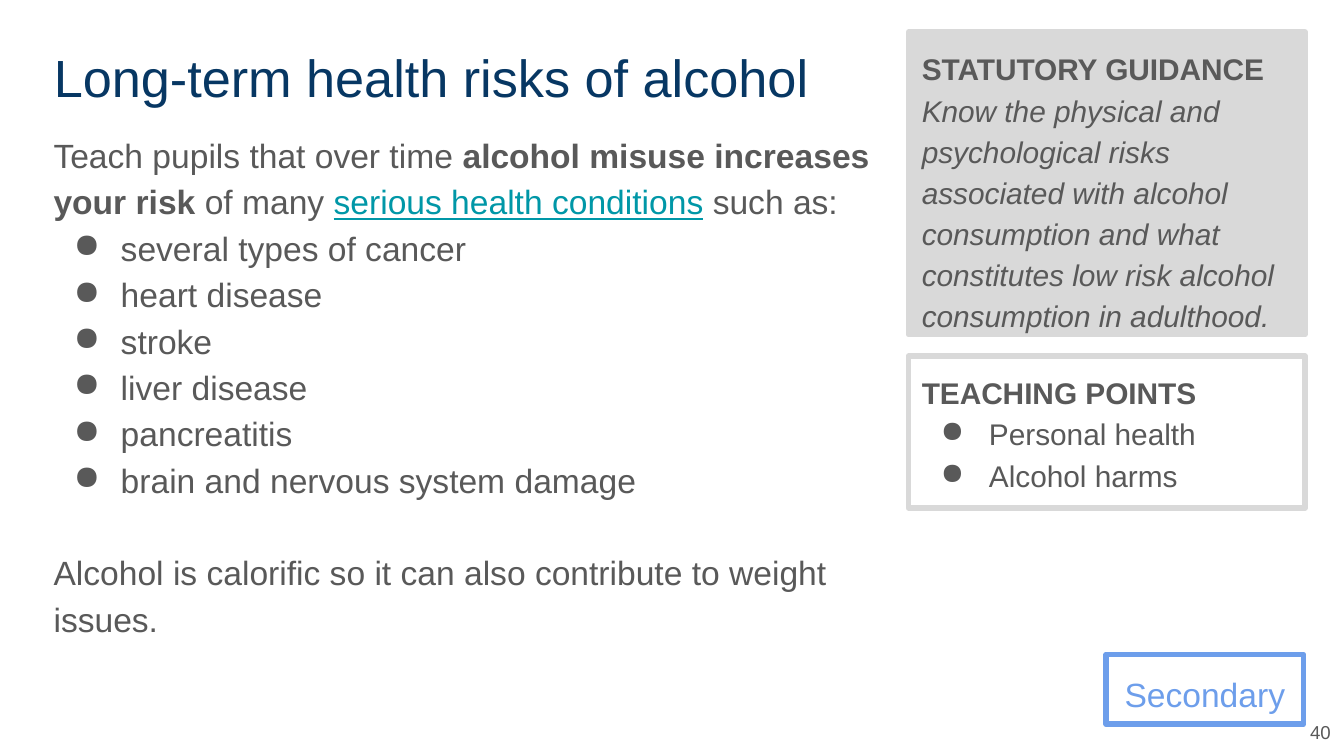
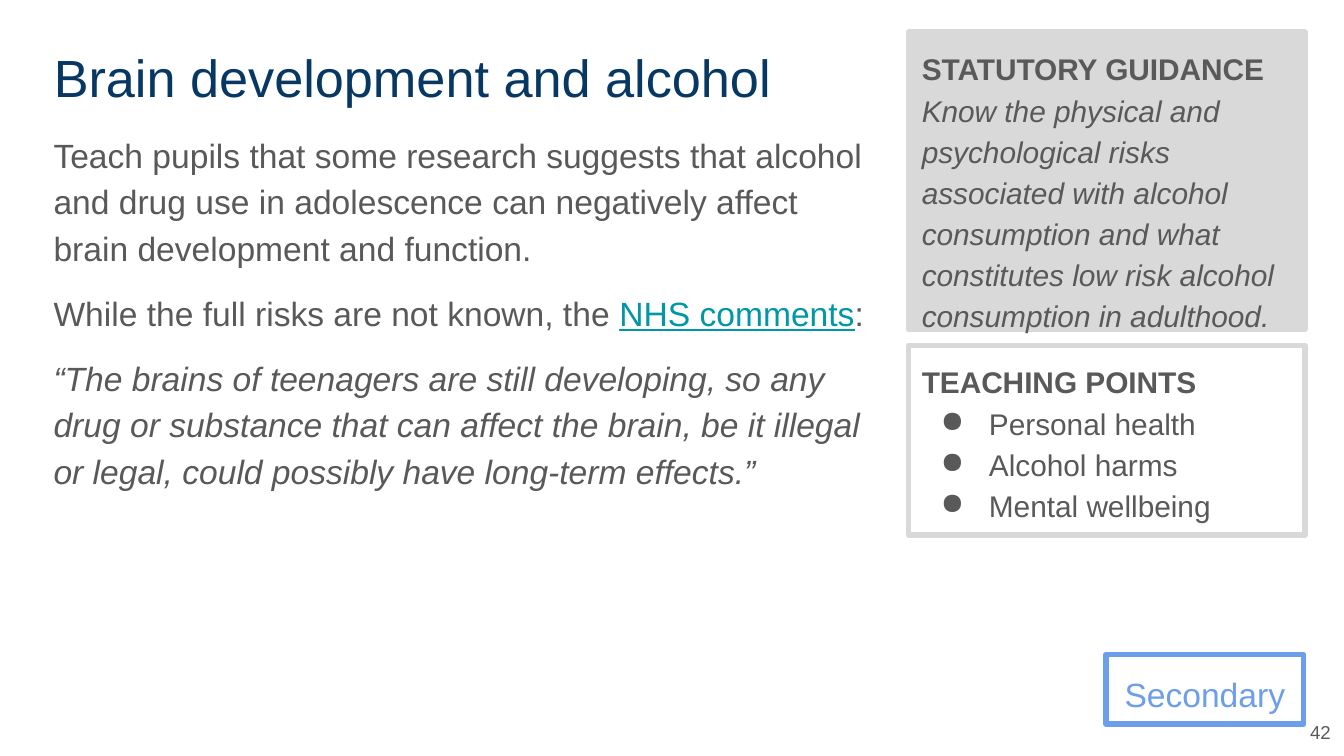
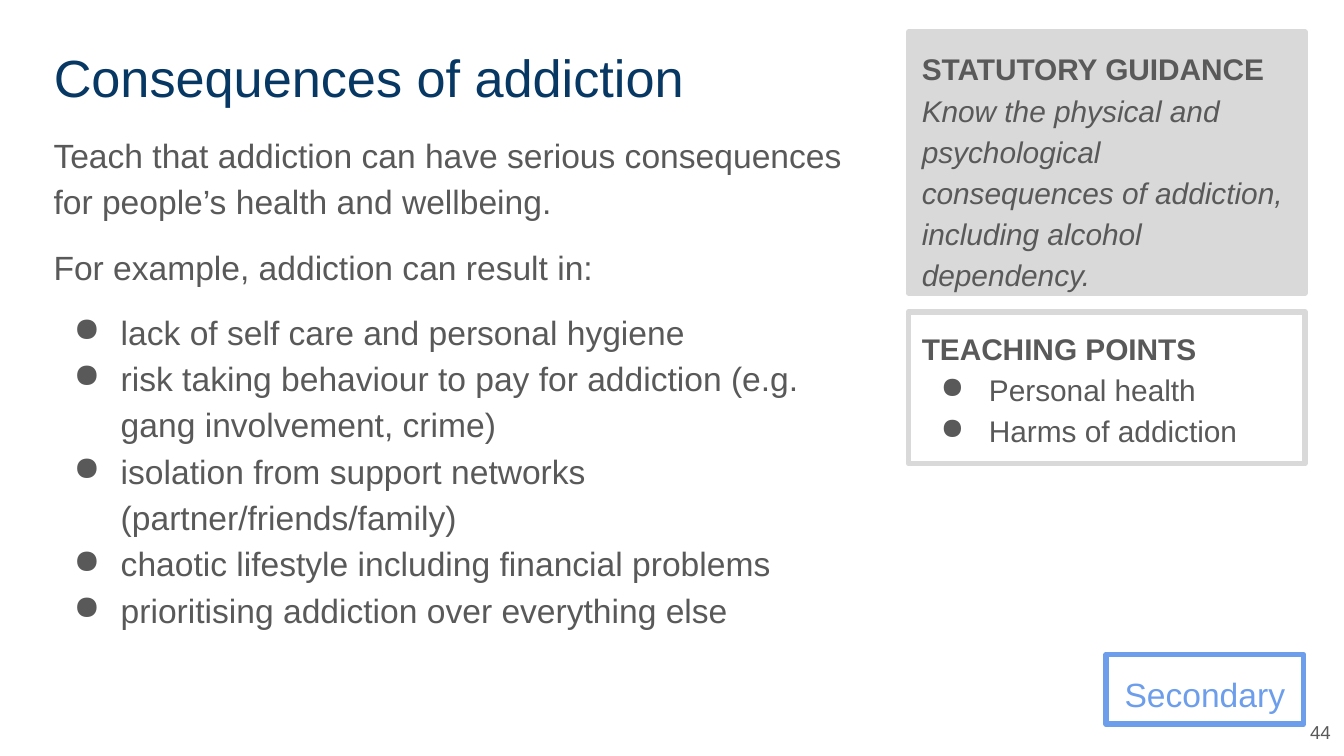
from dataclasses import dataclass

import pptx
import pptx.dml.color
import pptx.enum.shapes
import pptx.enum.text
import pptx.oxml.ns
import pptx.util
from lxml import etree

ALIGN = pptx.enum.text.PP_ALIGN
ANCHOR = pptx.enum.text.MSO_ANCHOR


@dataclass(frozen=True)
class Theme:
    font: str = "Arial"
    navy: str = "073763"
    text: str = "595959"
    link: str = "0097A7"
    panel: str = "D9D9D9"
    tag: str = "6D9EEB"
    title_size: int = 28
    body_size: int = 18
    side_size: int = 16
    number_size: int = 10
    leading: float = 1.15
    outline: int = 3


@dataclass(frozen=True)
class Box:
    """An area on a grid of 100 columns by 100 rows."""
    left: float
    top: float
    width: float
    height: float

    def place(self):
        return cols(self.left), rows(self.top), cols(self.width), rows(self.height)


@dataclass(frozen=True)
class Line:
    """One paragraph: spans are (text, style), style being '', 'bold', 'italic' or 'link'."""
    spans: tuple
    bullet: bool = False
    before: float = 0


THEME = Theme()
SLIDE_WIDTH = pptx.util.Inches(10)
SLIDE_HEIGHT = pptx.util.Inches(5.625)

TITLE = Box(3, 4.27, 64.1, 11.2)
BODY = Box(3, 15.29, 63.2, 71.29)
SIDEBAR = Box(67.6, 4.27, 29.5, 70)
TAG = Box(82.3, 86.58, 14.7, 9.24)
NUMBER = Box(96.1, 93.51, 3.9, 6.58)
POINTS_HEADING_ROWS, POINT_ROWS = 10.13, 4.98
INSET, BULLET_LEFT, BODY_HANG, SIDE_HANG = 1, 5, 3.5, 3.6
PARAGRAPH_GAP, BLOCK_GAP = 10, 24.8


def cols(count):
    return round(SLIDE_WIDTH * count / 100)


def rows(count):
    return round(SLIDE_HEIGHT * count / 100)


def rgb(value):
    return pptx.dml.color.RGBColor.from_string(value)


def style_span(span, size, color=THEME.text, style=""):
    span.font.name = THEME.font
    span.font.size = pptx.util.Pt(size)
    span.font.color.rgb = rgb(THEME.link if style == "link" else color)
    span.font.bold = style == "bold"
    span.font.italic = style == "italic"
    span.font.underline = style == "link"


def set_frame(shape, anchor=ANCHOR.TOP):
    frame = shape.text_frame
    frame.word_wrap = True
    frame.auto_size = pptx.enum.text.MSO_AUTO_SIZE.NONE
    frame.vertical_anchor = anchor
    frame.margin_left = frame.margin_right = cols(INSET)
    frame.margin_top = frame.margin_bottom = cols(INSET)
    return frame


def write_label(frame, text, size, color, align):
    frame.text = text
    para = frame.paragraphs[0]
    para.alignment = align
    style_span(para.runs[0], size, color)
    return para


def add_bullet(para, hang):
    properties = para._p.get_or_add_pPr()
    properties.set("marL", str(cols(BULLET_LEFT)))
    properties.set("indent", str(-cols(hang)))
    color = etree.SubElement(properties, pptx.oxml.ns.qn("a:buClr"))
    etree.SubElement(color, pptx.oxml.ns.qn("a:srgbClr"), val=THEME.text)
    etree.SubElement(properties, pptx.oxml.ns.qn("a:buChar"), char="●")


def write_lines(frame, lines, size, hang):
    for index, line in enumerate(lines):
        para = frame.add_paragraph() if index else frame.paragraphs[0]
        if line.bullet:
            add_bullet(para, hang)
        para.alignment = ALIGN.LEFT
        para.line_spacing = THEME.leading
        para.space_before = pptx.util.Pt(line.before)
        for text, style in line.spans:
            span = para.add_run()
            span.text = text
            style_span(span, size, style=style)


def add_panel(page, box, outline, fill=None):
    panel = page.shapes.add_shape(pptx.enum.shapes.MSO_SHAPE.RECTANGLE, *box.place())
    panel.shadow.inherit = False
    panel.line.color.rgb = rgb(outline)
    panel.line.width = pptx.util.Pt(THEME.outline)
    if fill:
        panel.fill.solid()
        panel.fill.fore_color.rgb = rgb(fill)
    else:
        panel.fill.background()
    return set_frame(panel)


def add_title(page, box, text):
    title = page.shapes.title
    title.left, title.top, title.width, title.height = box.place()
    write_label(set_frame(title), text, THEME.title_size, THEME.navy, ALIGN.LEFT)


def add_body(page, box, lines):
    frame = set_frame(page.shapes.add_textbox(*box.place()))
    write_lines(frame, lines, THEME.body_size, BODY_HANG)


def add_guidance(page, box, text):
    frame = add_panel(page, box, THEME.panel, THEME.panel)
    para = frame.paragraphs[0]
    para.text = "STATUTORY GUIDANCE\v" + text
    para.alignment = ALIGN.LEFT
    para.line_spacing = THEME.leading
    for span, style in zip(para.runs, ("bold", "italic")):
        style_span(span, THEME.side_size, style=style)
    line_break = para._p.find(pptx.oxml.ns.qn("a:br"))
    etree.SubElement(line_break, pptx.oxml.ns.qn("a:rPr"), sz=str(THEME.side_size * 100))


def add_sidebar(page, box, guidance, guidance_rows, gap_rows, points):
    """Stack the guidance panel and the teaching points from the top of the box."""
    add_guidance(page, Box(box.left, box.top, box.width, guidance_rows), guidance)
    points_box = Box(box.left, box.top + guidance_rows + gap_rows, box.width,
                     POINTS_HEADING_ROWS + POINT_ROWS * len(points))
    frame = add_panel(page, points_box, THEME.panel)
    heading = Line((("TEACHING POINTS", "bold"),))
    write_lines(frame, [heading, *bullets(*points)], THEME.side_size, SIDE_HANG)


def add_footer(page, tag_box, number_box, number):
    tag = add_panel(page, tag_box, THEME.tag)
    para = write_label(tag, "Secondary", THEME.body_size, THEME.tag, ALIGN.CENTER)
    para.line_spacing = THEME.leading
    frame = set_frame(page.shapes.add_textbox(*number_box.place()), ANCHOR.MIDDLE)
    write_label(frame, str(number), THEME.number_size, THEME.text, ALIGN.RIGHT)


def plain(text, before=0, style=""):
    return Line(((text, style),), before=before)


def bullets(*texts, before=0):
    """Bulleted lines; only the first has space before it."""
    return [Line(((text, ""),), True, 0 if index else before)
            for index, text in enumerate(texts)]


ALCOHOL_GUIDANCE = ("Know the physical and psychological risks associated with alcohol "
                    "consumption and what constitutes low risk alcohol consumption in adulthood.")

LESSONS = [
    dict(
        number=40,
        title="Long-term health risks of alcohol",
        body=[
            Line((("Teach pupils that over time ", ""),
                  ("alcohol misuse increases your risk", "bold"),
                  (" of many ", ""),
                  ("serious health conditions", "link"),
                  (" such as:", ""))),
            *bullets("several types of cancer", "heart disease", "stroke", "liver disease",
                     "pancreatitis", "brain and nervous system damage"),
            plain("Alcohol is calorific so it can also contribute to weight issues.", BLOCK_GAP),
        ],
        sidebar=dict(guidance=ALCOHOL_GUIDANCE, guidance_rows=40, gap_rows=2.84,
                     points=["Personal health", "Alcohol harms"]),
    ),
    dict(
        number=42,
        title="Brain development and alcohol",
        body=[
            plain("Teach pupils that some research suggests that alcohol and drug use in "
                  "adolescence can negatively affect brain development and function."),
            Line((("While the full risks are not known, the ", ""),
                  ("NHS comments", "link"),
                  (":", "")), before=PARAGRAPH_GAP),
            plain("“The brains of teenagers are still developing, so any drug or substance "
                  "that can affect the brain, be it illegal or legal, could possibly have "
                  "long-term effects.”", PARAGRAPH_GAP, "italic"),
        ],
        sidebar=dict(guidance=ALCOHOL_GUIDANCE, guidance_rows=39.29, gap_rows=2.13,
                     points=["Personal health", "Alcohol harms", "Mental wellbeing"]),
    ),
    dict(
        number=44,
        title="Consequences of addiction",
        body=[
            plain("Teach that addiction can have serious consequences for people’s health "
                  "and wellbeing."),
            plain("For example, addiction can result in:", PARAGRAPH_GAP),
            *bullets("lack of self care and personal hygiene",
                     "risk taking behaviour to pay for addiction (e.g. gang involvement, crime)",
                     "isolation from support networks (partner/friends/family)",
                     "chaotic lifestyle including financial problems",
                     "prioritising addiction over everything else",
                     before=PARAGRAPH_GAP),
        ],
        sidebar=dict(guidance="Know the physical and psychological consequences of addiction, "
                              "including alcohol dependency.",
                     guidance_rows=34.49, gap_rows=2.49,
                     points=["Personal health", "Harms of addiction"]),
    ),
]


def add_lesson(deck, number, title, body, sidebar):
    page = deck.slides.add_slide(deck.slide_layouts.get_by_name("Title Only"))
    add_title(page, TITLE, title)
    add_body(page, BODY, body)
    add_sidebar(page, SIDEBAR, **sidebar)
    add_footer(page, TAG, NUMBER, number)


def main():
    deck = pptx.Presentation()
    deck.slide_width, deck.slide_height = SLIDE_WIDTH, SLIDE_HEIGHT
    for lesson in LESSONS:
        add_lesson(deck, **lesson)
    deck.save("out.pptx")


if __name__ == "__main__":
    main()
